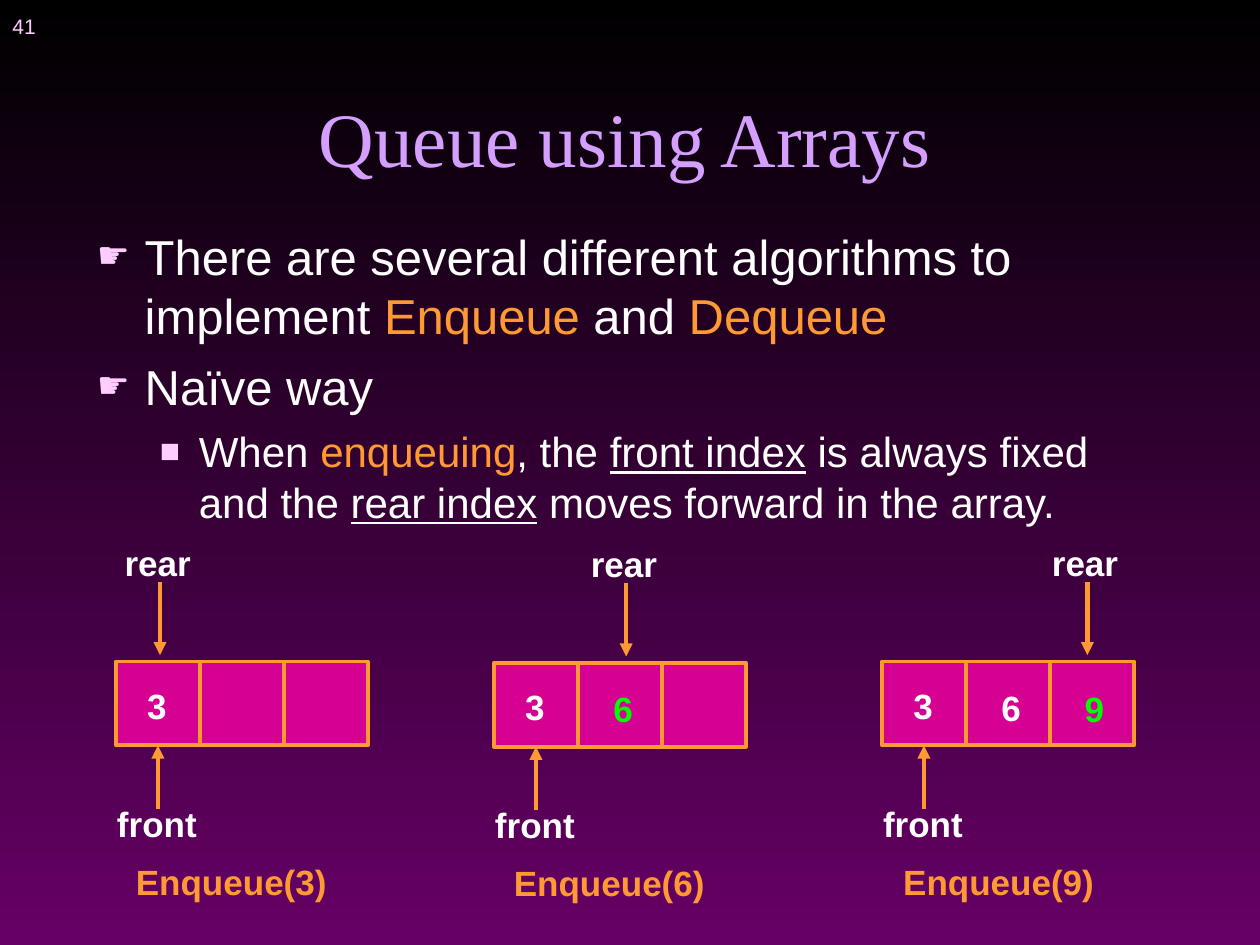
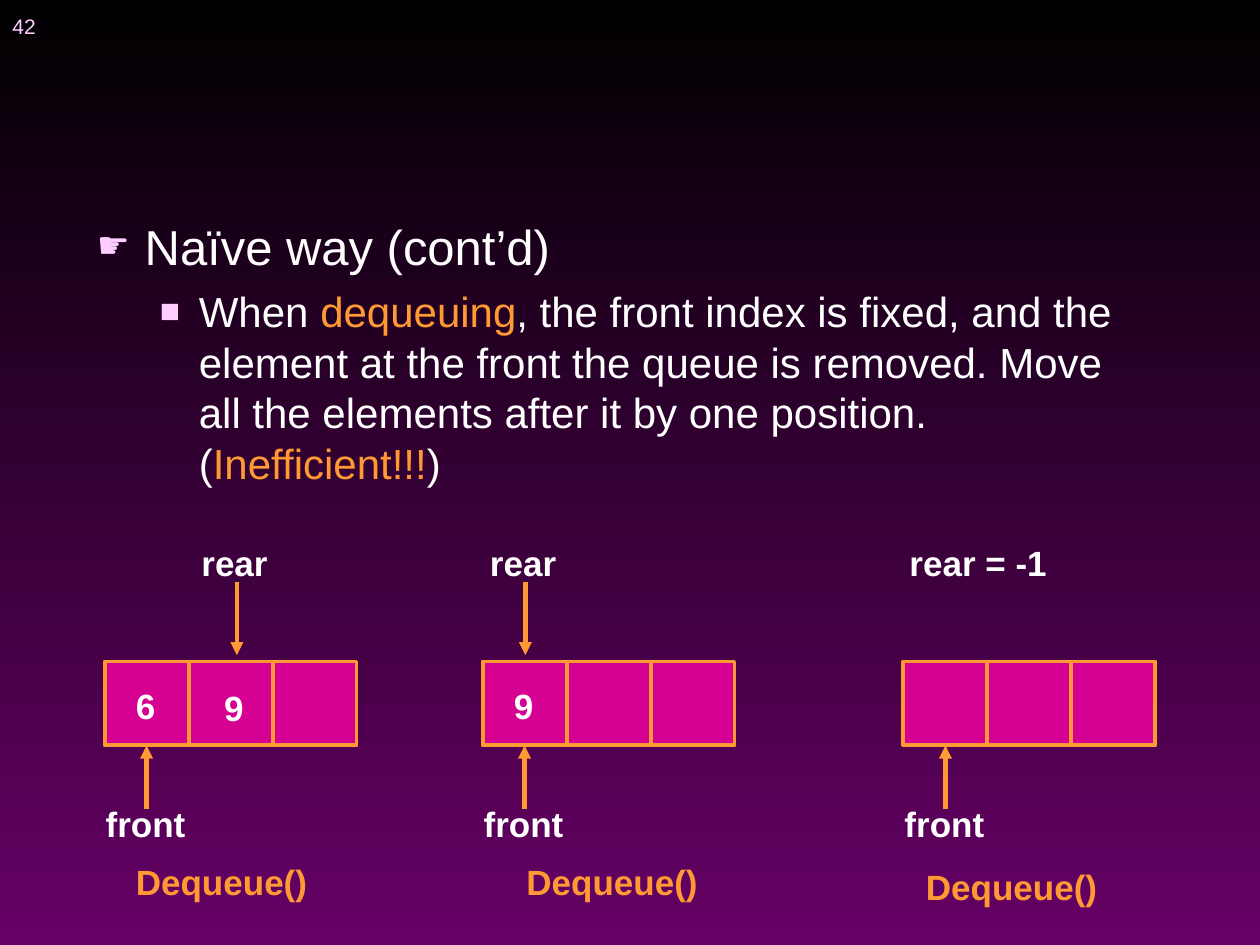
from dataclasses import dataclass
from typing import NamedTuple, Optional

from lxml.etree import SubElement
from pptx import Presentation
from pptx.dml.color import RGBColor
from pptx.enum.shapes import MSO_CONNECTOR, MSO_SHAPE
from pptx.enum.text import MSO_ANCHOR, MSO_AUTO_SIZE, PP_ALIGN
from pptx.oxml.ns import qn
from pptx.util import Inches, Pt


@dataclass(frozen=True)
class Theme:
    dark: RGBColor = RGBColor(0x00, 0x00, 0x00)
    plum: RGBColor = RGBColor(0x66, 0x00, 0x66)
    lilac: RGBColor = RGBColor(0xD4, 0x9F, 0xFF)
    pink: RGBColor = RGBColor(0xFF, 0xCC, 0xFF)
    white: RGBColor = RGBColor(0xFF, 0xFF, 0xFF)
    gold: RGBColor = RGBColor(0xFF, 0x99, 0x33)
    rose: RGBColor = RGBColor(0xD6, 0x00, 0x93)
    green: RGBColor = RGBColor(0x00, 0xFF, 0x00)
    sans: str = "Arial"
    serif: str = "Times New Roman"
    title: int = 44
    label: int = 20
    number: int = 12


THEME = Theme()


class Bit(NamedTuple):
    text: str
    tone: RGBColor = THEME.white
    under: bool = False


class Level(NamedTuple):
    size: int
    mark: str
    scale: int
    left: float
    hang: float
    gap: int


class Item(NamedTuple):
    level: Level
    bits: list[Bit]


class Queue(NamedTuple):
    left: float
    values: str
    call: str
    call_x: float
    rear: Optional[float] = None
    fresh: Optional[int] = None
    drop: float = 0
    call_drop: float = 0


POINT = Level(28, "☛", 75, 0.38, 0.38, 7)
SUB = Level(24, "■", 80, 0.81, 0.31, 6)

# Array geometry
SIDE = 2 / 3
CELL_Y = 5.25
REAR_Y = 4.25
FRONT_Y = 6.32
CALL_Y = 6.78
DIGITS = [(0.15, 5.38), (0.85, 5.4), (1.51, 5.41)]


def add_run(para, bit: Bit, size: int, face: str = THEME.sans, bold: bool = False) -> None:
    run = para.add_run()
    run.text = bit.text
    font = run.font
    font.name, font.size, font.bold = face, Pt(size), bold
    font.color.rgb = bit.tone
    if bit.under:
        font.underline = True


def add_frame(slide, x: float, y: float, wide: float, high: float):
    box = slide.shapes.add_textbox(Inches(x), Inches(y), Inches(wide), Inches(high))
    box.text_frame.word_wrap = True
    return box.text_frame


def add_label(slide, x: float, y: float, wide: float, text: str,
              tone: RGBColor = THEME.white) -> None:
    frame = add_frame(slide, x, y, wide, 0.44)
    add_run(frame.paragraphs[0], Bit(text, tone), THEME.label, bold=True)


def add_arrow(slide, x: float, start: float, end: float):
    line = slide.shapes.add_connector(
        MSO_CONNECTOR.STRAIGHT, Inches(x), Inches(start), Inches(x), Inches(end))
    line.line.color.rgb = THEME.gold
    line.line.width = Pt(2.5)
    SubElement(line.line._get_or_add_ln(), qn("a:tailEnd"), type="triangle")
    SubElement(line._element.spPr, qn("a:effectLst"))
    return line


def add_cell(slide, x: float, y: float):
    cell = slide.shapes.add_shape(
        MSO_SHAPE.RECTANGLE, Inches(x), Inches(y), Inches(SIDE), Inches(SIDE))
    cell.shadow.inherit = False
    cell.fill.solid()
    cell.fill.fore_color.rgb = THEME.rose
    cell.line.color.rgb = THEME.gold
    cell.line.width = Pt(2.25)
    return cell


def add_queue(slide, queue: Queue) -> None:
    left, drop = queue.left, queue.drop
    cells = [add_cell(slide, left + i * SIDE, CELL_Y + drop) for i in range(3)]
    # Front pointer
    add_label(slide, left - 0.09, FRONT_Y + drop, 1.08, "front")
    arrow = add_arrow(slide, left + SIDE / 2, 6.42 + drop, CELL_Y + SIDE + drop)
    arrow.end_connect(cells[0], 2)
    # Rear pointer
    if queue.rear is None:
        add_label(slide, left - 0.05, REAR_Y, 1.3, "rear = -1")
    else:
        add_label(slide, queue.rear - 0.38, REAR_Y + drop, 1.08, "rear")
        add_arrow(slide, queue.rear, 4.62 + drop, 5.2 + drop)
    # Stored values and the call
    for i, (value, (dx, y)) in enumerate(zip(queue.values, DIGITS)):
        tone = THEME.green if i == queue.fresh else THEME.white
        add_label(slide, left + dx, y + drop, 0.33, value, tone)
    add_label(slide, queue.call_x, CALL_Y + drop + queue.call_drop, 1.93,
              queue.call, THEME.gold)


def add_bullet(para, level: Level) -> None:
    props = para._p.get_or_add_pPr()
    props.set("marL", str(Inches(level.left)))
    props.set("indent", str(-Inches(level.hang)))
    tone = SubElement(props, qn("a:buClr"))
    SubElement(tone, qn("a:srgbClr"), val=str(THEME.pink))
    SubElement(props, qn("a:buSzPct"), val=str(level.scale * 1000))
    SubElement(props, qn("a:buFont"), typeface=THEME.sans)
    SubElement(props, qn("a:buChar"), char=level.mark)


def add_body(slide, y: float, high: float, items: list[Item]) -> None:
    frame = add_frame(slide, 0.67, y, 8.58, high)
    for i, (level, bits) in enumerate(items):
        para = frame.add_paragraph() if i else frame.paragraphs[0]
        add_bullet(para, level)
        if i:
            para.space_before = Pt(level.gap)
        for bit in bits:
            add_run(para, bit, level.size)


def add_title(slide, text: str) -> None:
    title = slide.shapes.title
    title.left, title.top = Inches(0.67), Inches(0.25)
    title.width, title.height = Inches(8.58), Inches(1.25)
    frame = title.text_frame
    frame.auto_size = MSO_AUTO_SIZE.NONE
    frame.vertical_anchor = MSO_ANCHOR.BOTTOM
    para = frame.paragraphs[0]
    para.alignment = PP_ALIGN.CENTER
    add_run(para, Bit(text, THEME.lilac), THEME.title, THEME.serif)


def add_slide(deck, number: int, title: Optional[str] = None):
    slide = deck.slides.add_slide(deck.slide_layouts[5 if title else 6])
    frame = add_frame(slide, 0, 0, 2.75, 0.42)
    frame.vertical_anchor = MSO_ANCHOR.MIDDLE
    add_run(frame.paragraphs[0], Bit(str(number), THEME.pink), THEME.number)
    if title:
        add_title(slide, title)
    return slide


def paint_master(deck) -> None:
    fill = deck.slide_master.background.fill
    fill.gradient()
    fill.gradient_angle = 270
    for stop, place, tone in zip(fill.gradient_stops, (0, 1), (THEME.dark, THEME.plum)):
        stop.position = place
        stop.color.rgb = tone


def main() -> None:
    deck = Presentation()
    deck.slide_width, deck.slide_height = Inches(10), Inches(7.5)
    paint_master(deck)
    gold = THEME.gold

    # Enqueue slide
    slide = add_slide(deck, 41, "Queue using Arrays")
    add_body(slide, 1.75, 2.75, [
        Item(POINT, [Bit("There are several different algorithms to implement "),
                     Bit("Enqueue", gold), Bit(" and "), Bit("Dequeue", gold)]),
        Item(POINT, [Bit("Naïve way")]),
        Item(SUB, [Bit("When "), Bit("enqueuing", gold), Bit(", the "),
                   Bit("front index", under=True),
                   Bit(" is always fixed and the "),
                   Bit("rear index", under=True),
                   Bit(" moves forward in the array.")]),
    ])
    for queue in (
        Queue(0.92, "3", "Enqueue(3)", 0.98, rear=1.27),
        Queue(3.92, "36", "Enqueue(6)", 3.98, rear=4.97, fresh=1, drop=0.01),
        Queue(7, "369", "Enqueue(9)", 7.07, rear=8.63, fresh=2),
    ):
        add_queue(slide, queue)

    # Dequeue slide
    slide = add_slide(deck, 42)
    add_body(slide, 1.67, 2.5, [
        Item(POINT, [Bit("Naïve way (cont’d)")]),
        Item(SUB, [Bit("When "), Bit("dequeuing", gold),
                   Bit(", the front index is fixed, and the element at the front "
                       "the queue is removed. Move all the elements after it by "
                       "one position. ("),
                   Bit("Inefficient!!!", gold), Bit(")")]),
    ])
    for queue in (
        Queue(0.83, "69", "Dequeue()", 0.98, rear=1.88),
        Queue(3.83, "9", "Dequeue()", 4.08, rear=4.17),
        Queue(7.17, "", "Dequeue()", 7.25, call_drop=0.04),
    ):
        add_queue(slide, queue)

    deck.save("out.pptx")


if __name__ == "__main__":
    main()
